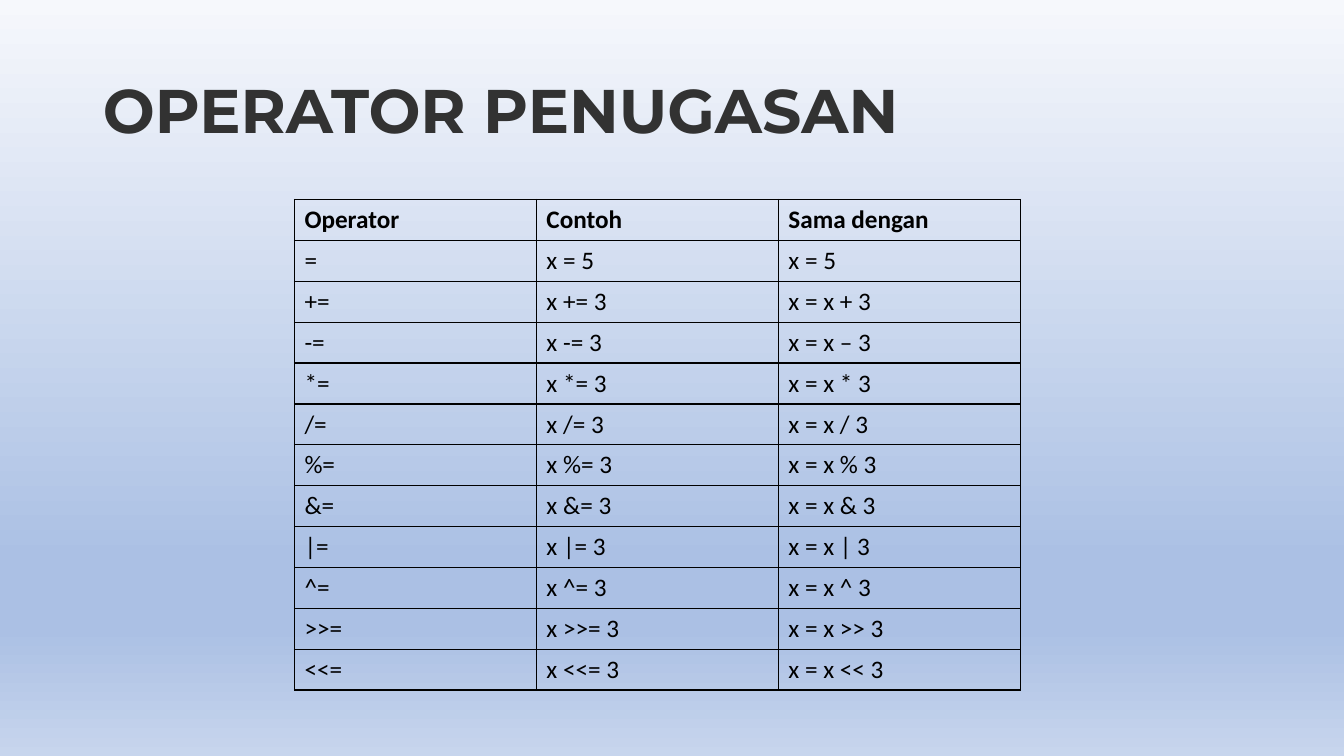
"""Build the slide on assignment operators with its table."""
from lxml.etree import SubElement as Sub
from pptx import Presentation
from pptx.dml.color import RGBColor as RGB
from pptx.enum.text import MSO_ANCHOR as Anchor, PP_ALIGN as Align
from pptx.oxml.ns import qn
from pptx.util import Inches, Pt

BLACK = RGB(0, 0, 0)
DARK = RGB(0x32, 0x32, 0x32)
PALE = RGB(0xF6, 0xF8, 0xFC)
BLUE = RGB(0xAB, 0xC0, 0xE4)
LIGHT = RGB(0xC7, 0xD5, 0xED)
STOPS = [(0, PALE), (74, BLUE), (83, BLUE), (100, LIGHT)]
HEADS = ["Operator", "Contoh", "Sama dengan"]
SIGNS = ["+", "-", "*", "/", "%", "&", "|", "^", ">>", "<<"]


def add_run(para, text, font, size, color, bold):
    run = para.add_run()
    run.text = text
    run.font.name = font
    run.font.size = Pt(size)
    run.font.color.rgb = color
    run.font.bold = bold


def add_edges(cell):
    props = cell._tc.get_or_add_tcPr()
    for spot, side in enumerate(["lnL", "lnR", "lnT", "lnB"]):
        edge = Sub(props, qn(f"a:{side}"), w=str(Pt(1)))
        fill = Sub(edge, qn("a:solidFill"))
        Sub(fill, qn("a:srgbClr"), val=str(BLACK))
        props.insert(spot, edge)


deck = Presentation()
deck.slide_width = Inches(13.33)
deck.slide_height = Inches(7.5)
slide = deck.slides.add_slide(deck.slide_layouts[5])

back = slide.background.fill
back.gradient()
back.gradient_angle = 270
ramp = slide._element.find(".//" + qn("a:gsLst"))
for old in list(ramp):
    ramp.remove(old)
for place, color in STOPS:
    stop = Sub(ramp, qn("a:gs"), pos=str(place * 1000))
    Sub(stop, qn("a:srgbClr"), val=str(color))

title = slide.shapes.title
title.left, title.top = Inches(0.92), Inches(0.4)
title.width, title.height = Inches(11.5), Inches(1.45)
title.text_frame.vertical_anchor = Anchor.MIDDLE
para = title.text_frame.paragraphs[0]
para.alignment = Align.LEFT
para.line_spacing = 0.9
add_run(para, "OPERATOR PENUGASAN\u00a0", "Montserrat", 44, DARK, True)

rows = [HEADS, ["=", "x = 5", "x = 5"]]
for sign in SIGNS:
    shown = "–" if sign == "-" else sign
    rows.append([f"{sign}=", f"x {sign}= 3", f"x = x {shown} 3"])

frame = slide.shapes.add_table(len(rows), len(HEADS), Inches(2.92), Inches(1.98),
                               Inches(7.2), Inches(4.8))
table = frame.table
table.first_row = False
table.horz_banding = False
for r, row in enumerate(rows):
    table.rows[r].height = Inches(0.4)
    for c, text in enumerate(row):
        cell = table.cell(r, c)
        cell.fill.background()
        cell.vertical_anchor = Anchor.MIDDLE
        add_edges(cell)
        add_run(cell.text_frame.paragraphs[0], text, "Calibri", 18, BLACK, r == 0)

deck.save("out.pptx")
